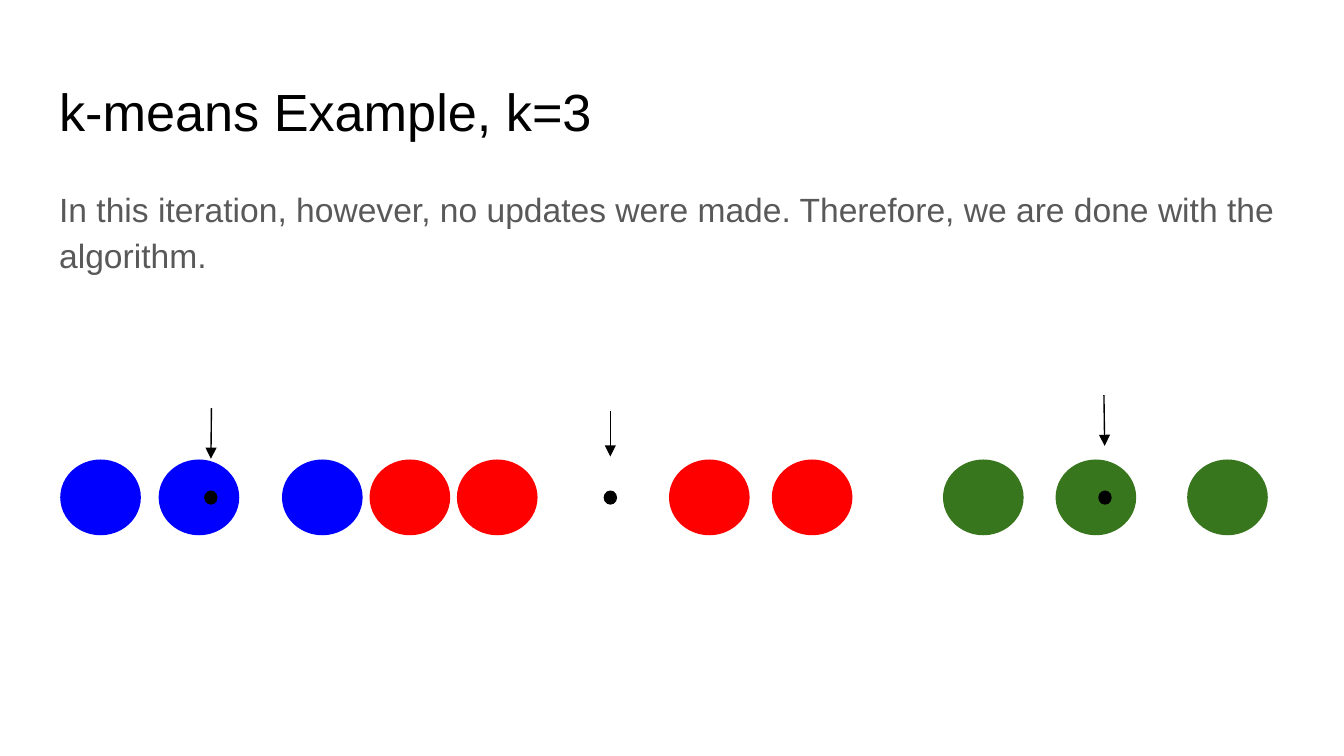
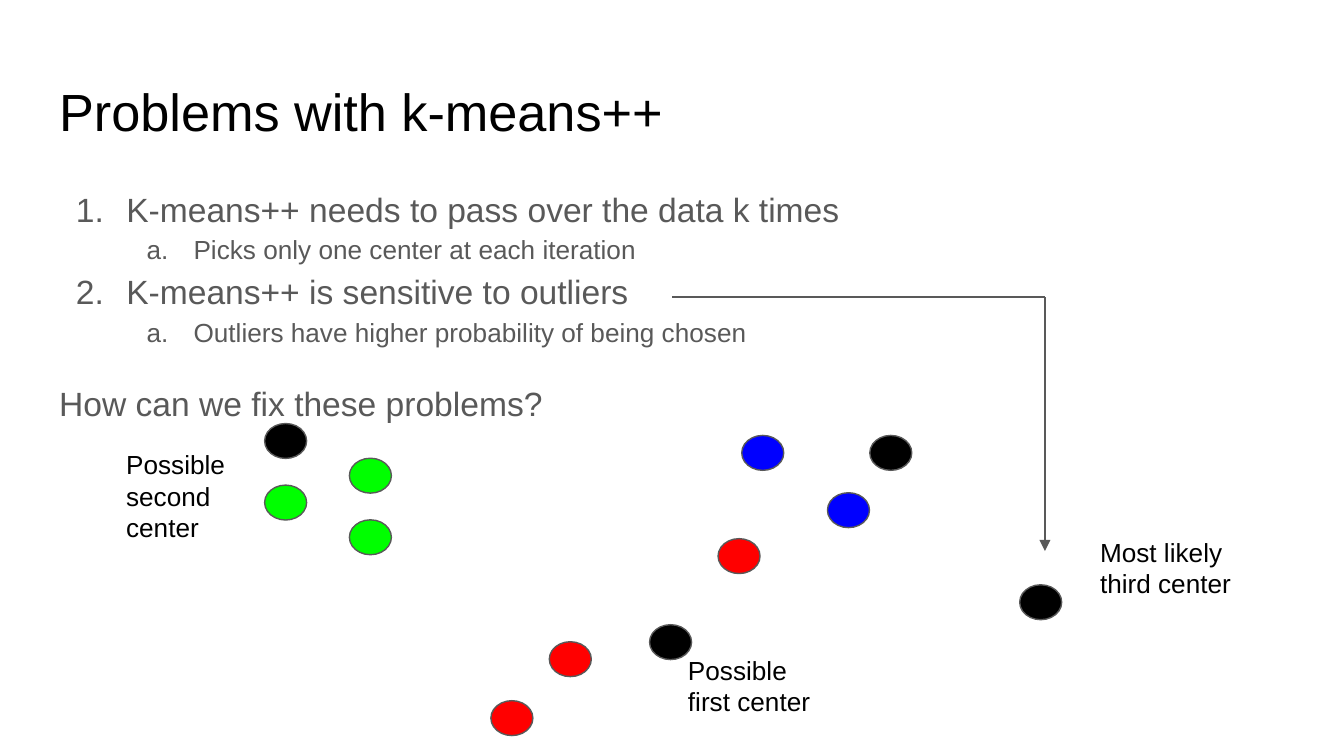
"""Build two slides on k-means clustering and the weaknesses of k-means++."""
from dataclasses import dataclass

from lxml import etree
from pptx import Presentation
from pptx.dml.color import RGBColor
from pptx.enum.shapes import MSO_CONNECTOR, MSO_SHAPE
from pptx.enum.text import MSO_ANCHOR, MSO_AUTO_SIZE, PP_ALIGN
from pptx.oxml.ns import qn
from pptx.util import Pt

OVAL = MSO_SHAPE.OVAL
STRAIGHT = MSO_CONNECTOR.STRAIGHT
TOP = MSO_ANCHOR.TOP
NO_FIT = MSO_AUTO_SIZE.NONE
LEFT = PP_ALIGN.LEFT


@dataclass(frozen=True)
class Theme:
    """Colours, type sizes and line weight shared by the slides."""
    font: str = "Arial"
    black: str = "000000"
    grey: str = "595959"
    blue: str = "0000FF"
    red: str = "FF0000"
    green: str = "38761D"
    lime: str = "00FF00"
    title_size: int = 28
    body_size: int = 18
    small_size: int = 14
    line_width: float = 0.75
    inset: float = 7.2
    body_spacing: float = 1.15


THEME = Theme()
SLIDE_SIZE = (720, 405)
TITLE_BOX = (24.5, 35, 671, 45.1)
BODY_BOX = (24.5, 90.7, 671, 269.1)

EXAMPLE_TITLE = "k-means Example, k=3"
EXAMPLE_BODY = [
    ("In this iteration, however, no updates were made. "
     "Therefore, we are done with the algorithm.", None),
]
POINT_SIZE = (43.2, 40.6)
POINT_TOP = 246.2
CLUSTERS = {
    THEME.blue: [32.3, 85, 151.1],
    THEME.red: [198, 244.8, 358.4, 413.5],
    THEME.green: [505.2, 565.5, 636],
}
CENTER_SIZE = (7.2, 7.6)
CENTER_TOP = 262.8
CENTERS = [109.4, 323.4, 588.4]
CENTER_ARROWS = [
    ((113.3, 218.7), (113, 245.8)),
    ((327, 220.3), (327, 244.6)),
    ((591.4, 211.7), (591.8, 238.9)),
]

PROBLEMS_TITLE = "Problems with k-means++"
PROBLEMS_BODY = [
    ("K-means++ needs to pass over the data k times", 0),
    ("Picks only one center at each iteration", 1),
    ("K-means++ is sensitive to outliers", 0),
    ("Outliers have higher probability of being chosen", 1),
    ("How can we fix these problems?", None),
]
NUMBERING = [
    ("arabicPeriod", 36, -27, THEME.body_size),
    ("alphaLcPeriod", 72, -25.2, THEME.small_size),
]
QUESTION_GAP = 16
SAMPLE_SIZE = (22.5, 18.7)
SAMPLES = {
    THEME.black: [(141.8, 226.9), (466, 233.3), (348, 334.7), (546.3, 313.3)],
    THEME.lime: [(141.8, 259.9), (187.2, 245.5), (187.2, 278.5)],
    THEME.blue: [(397.4, 233.3), (443.3, 264)],
    THEME.red: [(384.7, 288.6), (294.3, 343.8), (263, 375.4)],
}
OUTLIER_CORNER = (559.8, 159.2)
OUTLIER_START = (360, 159.2)
OUTLIER_END = (559.8, 295.2)
LABELS = [
    ("Possible first center", (361.5, 343.4, 82.1, 27.4)),
    ("Possible second center", (60.5, 233.1, 74.2, 34.6)),
    ("Most likely third center", (582.2, 280, 87.1, 51.8)),
]


def points(values):
    return [Pt(value) for value in values]


def format_runs(paragraph, size, color):
    for run in paragraph.runs:
        run.font.name = THEME.font
        run.font.size = Pt(size)
        run.font.color.rgb = RGBColor.from_string(color)


def prepare_frame(frame):
    frame.word_wrap = True
    frame.auto_size = NO_FIT
    frame.vertical_anchor = TOP
    frame.margin_left = frame.margin_right = Pt(THEME.inset)
    frame.margin_top = frame.margin_bottom = Pt(THEME.inset)


def place(holder, box):
    holder.left, holder.top, holder.width, holder.height = points(box)
    prepare_frame(holder.text_frame)


def set_numbering(paragraph, level):
    properties = paragraph._p.get_or_add_pPr()
    if level is None:
        properties.set("marL", "0")
        properties.set("indent", "0")
        etree.SubElement(properties, qn("a:buNone"))
        return THEME.body_size
    scheme, margin, indent, size = NUMBERING[level]
    paragraph.level = level
    properties.set("marL", str(Pt(margin)))
    properties.set("indent", str(Pt(indent)))
    bullet_color = etree.SubElement(properties, qn("a:buClr"))
    etree.SubElement(bullet_color, qn("a:srgbClr"), val=THEME.grey)
    etree.SubElement(properties, qn("a:buFont"), typeface=THEME.font)
    etree.SubElement(properties, qn("a:buAutoNum"), type=scheme)
    return size


def add_slide(deck, heading, body):
    slide = deck.slides.add_slide(deck.slide_layouts[1])
    title, content = slide.shapes.title, slide.placeholders[1]
    place(title, TITLE_BOX)
    title.text_frame.text = heading
    title_line = title.text_frame.paragraphs[0]
    title_line.alignment = LEFT
    format_runs(title_line, THEME.title_size, THEME.black)

    place(content, BODY_BOX)
    content.text_frame.text = "\n".join(text for text, _ in body)
    for index, (item, (_, level)) in enumerate(zip(content.text_frame.paragraphs, body)):
        gap = QUESTION_GAP if index and level is None else 0
        item.line_spacing = THEME.body_spacing
        item.space_before = item.space_after = Pt(gap)
        format_runs(item, set_numbering(item, level), THEME.grey)
    return slide


def add_dot(slide, position, size, color, outline=None):
    dot = slide.shapes.add_shape(OVAL, *points((*position, *size)))
    dot.shadow.inherit = False
    dot.fill.solid()
    dot.fill.fore_color.rgb = RGBColor.from_string(color)
    if outline:
        dot.line.color.rgb = RGBColor.from_string(outline)
        dot.line.width = Pt(THEME.line_width)
    else:
        dot.line.fill.background()


def add_line(slide, start, end, color, arrow=True):
    line = slide.shapes.add_connector(STRAIGHT, *points((*start, *end)))
    line.line.color.rgb = RGBColor.from_string(color)
    line.line.width = Pt(THEME.line_width)
    if arrow:
        etree.SubElement(line.line._get_or_add_ln(), qn("a:tailEnd"), type="triangle")
    etree.SubElement(line._element.spPr, qn("a:effectLst"))


def add_label(slide, text, box):
    frame = slide.shapes.add_textbox(*points(box)).text_frame
    prepare_frame(frame)
    frame.text = text
    format_runs(frame.paragraphs[0], THEME.small_size, THEME.black)


def build_example(deck):
    slide = add_slide(deck, EXAMPLE_TITLE, EXAMPLE_BODY)
    for color, lefts in CLUSTERS.items():
        for left in lefts:
            add_dot(slide, (left, POINT_TOP), POINT_SIZE, color)
    for left in CENTERS:
        add_dot(slide, (left, CENTER_TOP), CENTER_SIZE, THEME.black)
    for start, end in CENTER_ARROWS:
        add_line(slide, start, end, THEME.black)


def build_problems(deck):
    slide = add_slide(deck, PROBLEMS_TITLE, PROBLEMS_BODY)
    for color, positions in SAMPLES.items():
        for position in positions:
            add_dot(slide, position, SAMPLE_SIZE, color, THEME.grey)
    add_line(slide, OUTLIER_START, OUTLIER_CORNER, THEME.grey, arrow=False)
    add_line(slide, OUTLIER_CORNER, OUTLIER_END, THEME.grey)
    for text, box in LABELS:
        add_label(slide, text, box)


def main():
    deck = Presentation()
    deck.slide_width, deck.slide_height = points(SLIDE_SIZE)
    build_example(deck)
    build_problems(deck)
    deck.save("out.pptx")


if __name__ == "__main__":
    main()
